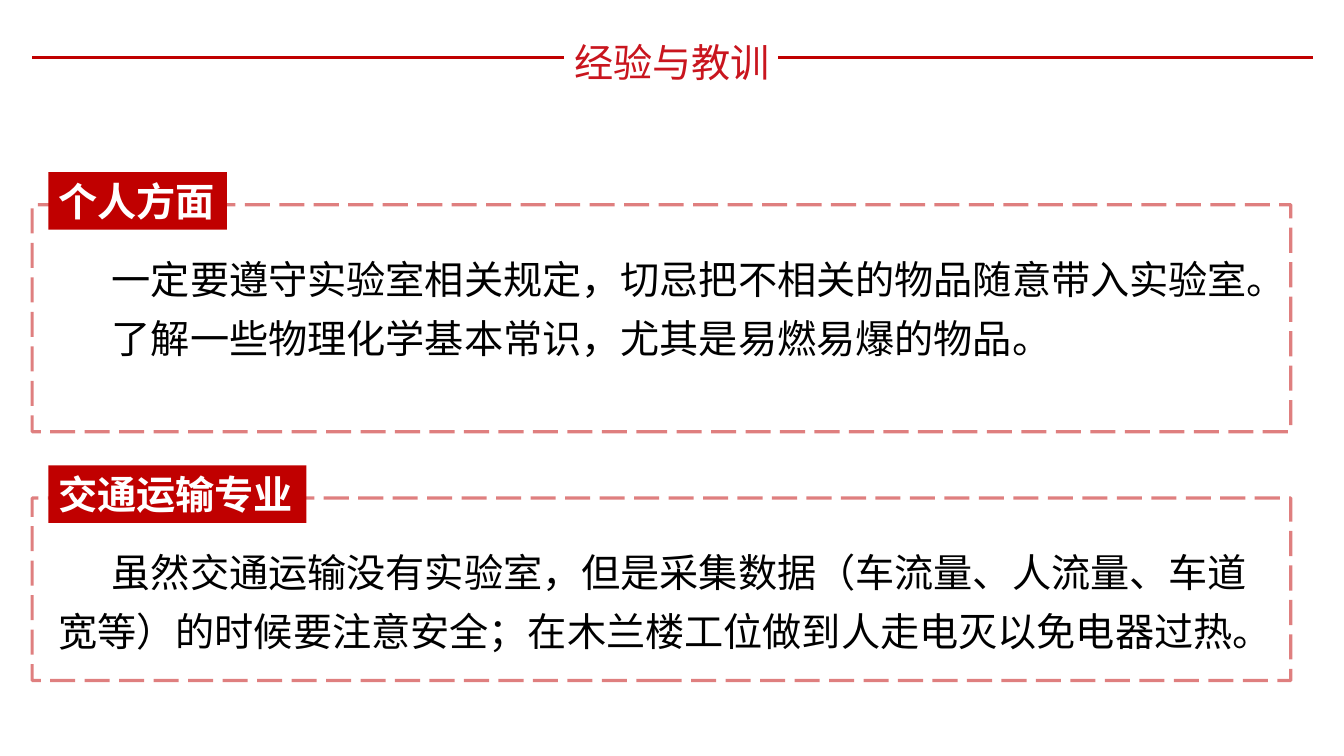
from dataclasses import dataclass

from lxml.etree import SubElement
from pptx import Presentation
from pptx.dml.color import RGBColor as Rgb
from pptx.enum.dml import MSO_LINE as Dash
from pptx.enum.shapes import MSO_CONNECTOR as Connector, MSO_SHAPE as Shape
from pptx.enum.text import MSO_ANCHOR as Anchor, MSO_AUTO_SIZE as AutoSize, PP_ALIGN as Align
from pptx.oxml.ns import qn
from pptx.util import Cm, Pt


@dataclass(frozen=True)
class Theme:
    font: str = "Noto Sans CJK SC"
    size: int = 28
    red: str = "C00000"
    title_red: str = "C9151E"
    ink: str = "000000"
    white: str = "FFFFFF"


class SlideBuilder:
    def __init__(self, page, theme):
        self.page = page
        self.theme = theme

    def add_span(self, para, text, color, bold=False):
        span = para.add_run()
        span.text = text
        font = span.font
        font.name = self.theme.font
        font.size = Pt(self.theme.size)
        font.bold = bold
        font.color.rgb = Rgb.from_string(color)
        SubElement(font._element, qn("a:ea"), typeface=self.theme.font)

    def text(self, shapes, place, lines, color, spacing, align=Align.LEFT, indent=0):
        box = shapes.add_textbox(*map(Cm, place))
        frame = box.text_frame
        frame.word_wrap = True
        frame.auto_size = AutoSize.SHAPE_TO_FIT_TEXT
        for index, line in enumerate(lines):
            para = frame.add_paragraph() if index else frame.paragraphs[0]
            para.alignment = align
            para.line_spacing = spacing
            para._p.get_or_add_pPr().set("indent", str(Cm(indent)))
            self.add_span(para, line, color)

    def rule(self, left, right, top):
        line = self.page.shapes.add_connector(
            Connector.STRAIGHT, Cm(left), Cm(top), Cm(right), Cm(top))
        line.line.color.rgb = Rgb.from_string(self.theme.red)
        line.line.width = Pt(2)
        SubElement(line._element.spPr, qn("a:effectLst"))

    def rectangle(self, shapes, place):
        box = shapes.add_shape(Shape.RECTANGLE, *map(Cm, place))
        box.shadow.inherit = False
        return box

    def dashed_frame(self, shapes, place):
        box = self.rectangle(shapes, place)
        box.fill.background()
        box.line.color.rgb = Rgb.from_string(self.theme.red)
        box.line.width = Pt(2.25)
        box.line.dash_style = Dash.LONG_DASH
        color = box._element.spPr.find(qn("a:ln")).find(".//" + qn("a:srgbClr"))
        SubElement(color, qn("a:alpha"), val="50000")

    def tag(self, shapes, place, label):
        box = self.rectangle(shapes, place)
        box.fill.solid()
        box.fill.fore_color.rgb = Rgb.from_string(self.theme.red)
        box.line.fill.background()
        frame = box.text_frame
        frame.word_wrap = False
        frame.vertical_anchor = Anchor.MIDDLE
        frame.margin_top = frame.margin_bottom = 0
        para = frame.paragraphs[0]
        para.alignment = Align.LEFT
        self.add_span(para, label, self.theme.white, bold=True)

    def panel(self, top, height, label, label_width, lines):
        """Group a dashed frame with its text and a tag across its top edge."""
        shapes = self.page.shapes.add_group_shape().shapes
        self.text(shapes, (1.22, top + 0.85, 31.29, 3.12), lines,
                  self.theme.ink, 1.25, indent=1.35)
        self.dashed_frame(shapes, (0.81, top, 31.72, height))
        self.tag(shapes, (1.22, top - 0.82, label_width, 1.45), label)


def main():
    deck = Presentation()
    deck.slide_width, deck.slide_height = Cm(33.87), Cm(19.05)
    theme = Theme()
    page = deck.slides.add_slide(deck.slide_layouts[6])
    builder = SlideBuilder(page, theme)

    builder.text(page.shapes, (14.12, 0.48, 5.64, 1.65), ["经验与教训"],
                 theme.title_red, 1.3, Align.CENTER)
    for left, right in ((0.81, 14.22), (19.61, 33.1)):
        builder.rule(left, right, 1.45)

    builder.panel(5.16, 5.72, "个人方面", 4.5, [
        "一定要遵守实验室相关规定，切忌把不相关的物品随意带入实验室。",
        "了解一些物理化学基本常识，尤其是易燃易爆的物品。",
    ])
    builder.panel(12.55, 4.6, "交通运输专业", 6.5, [
        "虽然交通运输没有实验室，但是采集数据（车流量、人流量、车道宽等）的时候要注意安全；"
        "在木兰楼工位做到人走电灭以免电器过热。",
    ])
    deck.save("out.pptx")


if __name__ == "__main__":
    main()
